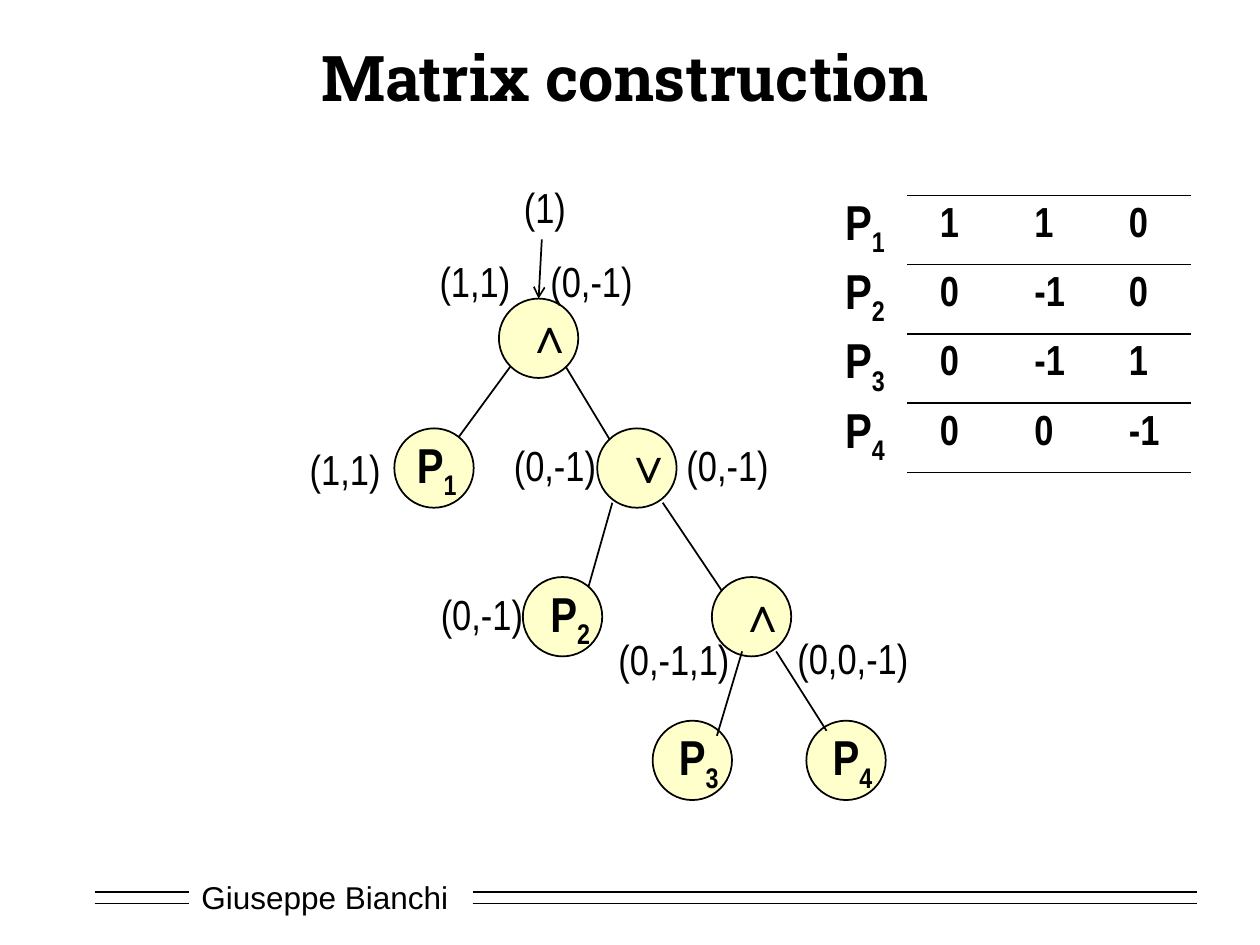
import lxml.etree
import pptx
import pptx.dml.color
import pptx.enum.shapes
import pptx.enum.text
import pptx.oxml.ns
import pptx.util

COLS, ROWS = 100, 75
ALIGN = pptx.enum.text.PP_ALIGN
SHAPE = pptx.enum.shapes.MSO_SHAPE
LINE = pptx.enum.shapes.MSO_CONNECTOR.STRAIGHT
INK, PAPER, NODE = "000000", "FFFFFF", "FFFF99"
NARROW = "Arial Narrow"


def color(code):
    return pptx.dml.color.RGBColor.from_string(code)


def child(parent, tag, **attrs):
    return lxml.etree.SubElement(parent, pptx.oxml.ns.qn(tag), attrs)


def write(frame, text, size=24, font=NARROW, bold=False, align=ALIGN.LEFT):
    """Fill a frame with one line; what follows an underscore is subscript."""
    para = frame.paragraphs[0]
    para.alignment = align
    for level, part in enumerate(text.split("_")):
        run = para.add_run()
        run.text = part
        run.font.size = pptx.util.Pt(size)
        run.font.name = font
        run.font.bold = bold
        run.font.color.rgb = color(INK)
        if level:
            run.font._element.set("baseline", "-25000")


class Board:
    """Style and current slide; lengths are columns and rows of the grid."""

    def __init__(self, deck):
        self.slide = deck.slides.add_slide(deck.slide_layouts[6])
        self.shapes = self.slide.shapes
        self.col = deck.slide_width / COLS
        self.row = deck.slide_height / ROWS
        self.weight = pptx.util.Pt(1)

    def place(self, x, y):
        return round(x * self.col), round(y * self.row)

    def text(self, x, y, wide, high, text, wrap=False, **style):
        box = self.shapes.add_textbox(*self.place(x, y), *self.place(wide, high))
        frame = box.text_frame
        frame.word_wrap = wrap
        if wrap:
            frame.vertical_anchor = pptx.enum.text.MSO_ANCHOR.MIDDLE
        else:
            frame.auto_size = pptx.enum.text.MSO_AUTO_SIZE.SHAPE_TO_FIT_TEXT
        write(frame, text, **style)
        return box

    def line(self, start, end, arrow=False):
        line = self.shapes.add_connector(LINE, *self.place(*start), *self.place(*end))
        line.line.color.rgb = color(INK)
        line.line.width = self.weight
        if arrow:
            child(line.line._get_or_add_ln(), "a:tailEnd", type="arrow")
        child(line._element.spPr, "a:effectLst")
        return line

    def node(self, x, y, wide=6.3):
        node = self.shapes.add_shape(SHAPE.OVAL, *self.place(x, y), *self.place(wide, wide))
        node.shadow.inherit = False
        node.fill.solid()
        node.fill.fore_color.rgb = color(NODE)
        tint = node._element.spPr.find(".//" + pptx.oxml.ns.qn("a:srgbClr"))
        child(tint, "a:alpha", val="50000")
        node.line.color.rgb = color(INK)
        node.line.width = self.weight
        return node

    def rule(self, cell):
        """Draw only the top and bottom borders of a cell."""
        props = cell._tc.get_or_add_tcPr()
        for side in "LRTB":
            edge = child(props, "a:ln" + side, w=str(self.weight))
            if side in "LR":
                child(edge, "a:noFill")
            else:
                child(child(edge, "a:solidFill"), "a:srgbClr", val=INK)

    def table(self, x, y, wide, high, values):
        table = self.shapes.add_table(
            len(values), len(values[0]), *self.place(x, y), *self.place(wide, high)
        ).table
        table.first_row = table.horz_banding = False
        for r, line in enumerate(values):
            for c, value in enumerate(line):
                cell = table.cell(r, c)
                self.rule(cell)
                cell.fill.background()
                cell.margin_left, cell.margin_top = self.place(2.6, 0.9)
                cell.margin_right = cell.margin_bottom = 0
                write(cell.text_frame, str(value), bold=True)


def footer(board):
    name = board.text(15, 69.2, 21.7, 4, "Giuseppe Bianchi", wrap=True, size=18, font="Arial")
    name.fill.solid()
    name.fill.fore_color.rgb = color(PAPER)
    for y in (70.8, 71.7):
        for left, right in ((7.5, 15), (37.5, 95)):
            board.line((left, y), (right, y))


def tree(board):
    # Node corner, sign, and the indent and width of the sign's box
    nodes = [
        (39.6, 23.7, "∧", 1.1, 4.4),
        (31.3, 34, "P_1", 0.8, 5.4),
        (47.4, 34, "∨", 1.2, 4.4),
        (41.5, 45.8, "P_2", 1.2, 5.4),
        (56.5, 45.8, "∧", 1.1, 4.4),
        (51.8, 57.2, "P_3", 1.1, 5.4),
        (64, 57.2, "P_4", 1.1, 5.4),
    ]
    ovals = []
    for x, y, sign, shift, wide in nodes:
        ovals.append(board.node(x, y))
        board.text(x + shift, y, wide, 5.7, sign, size=28, bold=True)
    board.line((43, 19), (42.9, 23.7), arrow=True).end_connect(ovals[0], 0)

    edges = [
        ((40.5, 29.1), (36.4, 34.7)),
        ((44.9, 29.1), (48.4, 34.9)),
        ((48.6, 39.9), (46.7, 46.6)),
        ((52.6, 39.9), (57.3, 46.9)),
        ((58.9, 51.7), (56.9, 58.4)),
        ((61.6, 51.7), (65.6, 58)),
    ]
    for start, end in edges:
        board.line(start, end)

    labels = [
        (40.6, 13.9, 5.4, "(1)"),
        (33.9, 19.8, 7.7, "(1,1)"),
        (42.7, 19.8, 8.6, "(0,-1)"),
        (23.6, 34.7, 7.7, "(1,1)"),
        (39.8, 34.4, 8.6, "(0,-1)"),
        (53.5, 34.4, 8.6, "(0,-1)"),
        (34, 46.2, 8.6, "(0,-1)"),
        (48.1, 49.8, 10.9, "(0,-1,1)"),
        (62.3, 49.7, 10.9, "(0,0,-1)"),
    ]
    for x, y, wide, label in labels:
        board.text(x, y, wide, 5.1, label)


def matrix(board):
    values = [(1, 1, 0), (0, -1, 0), (0, -1, 1), (0, 0, -1)]
    step = 5.5
    for i in range(len(values)):
        board.text(66.1, 14.7 + i * step, 5.4, 5.7, f"P_{i + 1}", size=28, bold=True)
    board.table(72, 15.5, 22.5, step * len(values), values)


def main():
    deck = pptx.Presentation()
    deck.slide_width = pptx.util.Inches(10)
    deck.slide_height = pptx.util.Inches(7.5)
    board = Board(deck)
    footer(board)
    board.text(7.5, 2.5, 84.2, 7.1, "Matrix construction", wrap=True,
               size=36, font="Roboto Slab", bold=True, align=ALIGN.CENTER)
    tree(board)
    matrix(board)
    deck.save("out.pptx")


if __name__ == "__main__":
    main()
